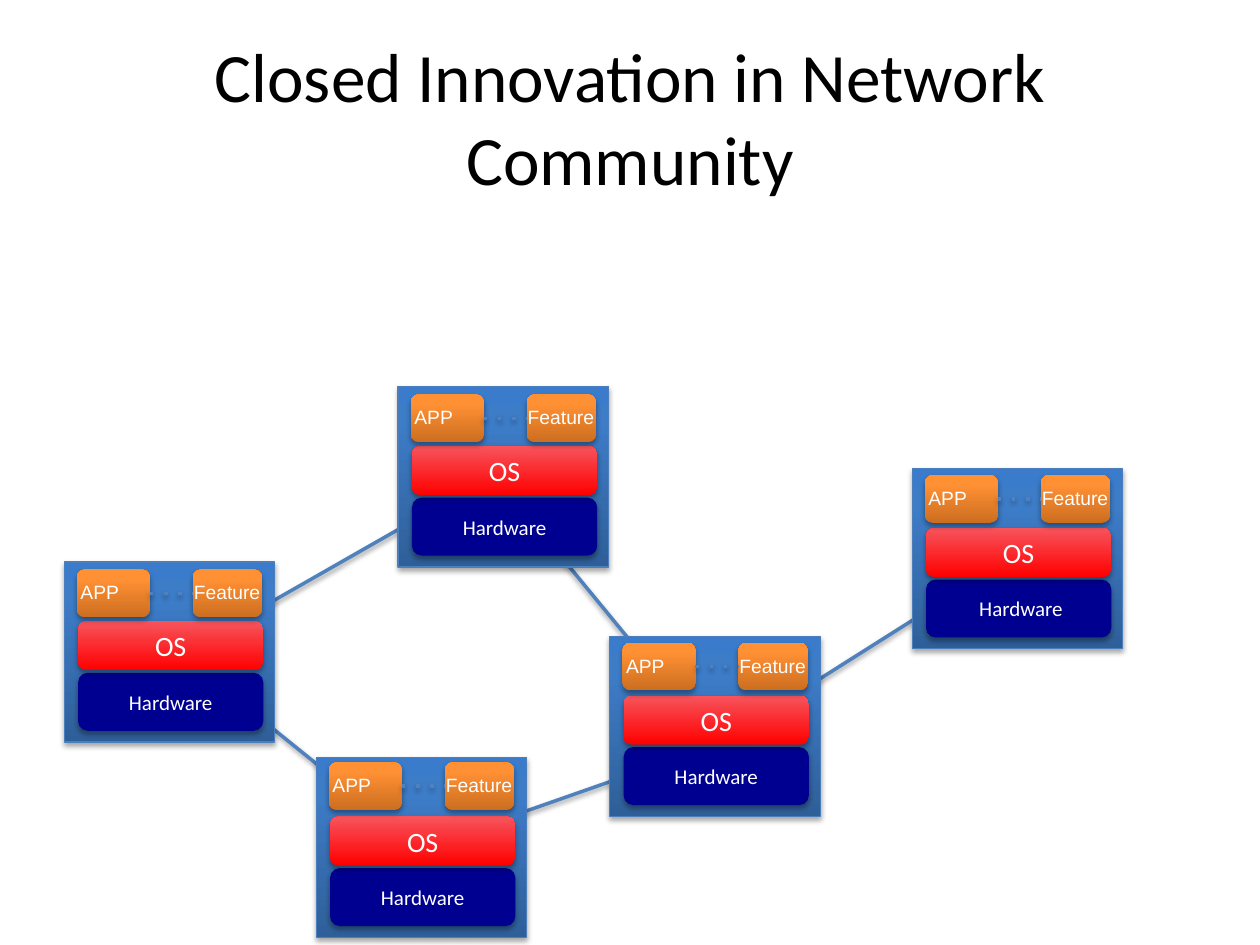
"""Build a slide of five linked network nodes, each a stack of hardware, OS and apps."""
from lxml import etree
from pptx import Presentation
from pptx import util as u
from pptx.dml.color import RGBColor
from pptx.enum import shapes, text
from pptx.oxml.ns import qn

BLACK = RGBColor(0x00, 0x00, 0x00)
WHITE = RGBColor(0xFF, 0xFF, 0xFF)
NAVY = RGBColor(0x00, 0x00, 0x90)
LINK_BLUE = RGBColor(0x4F, 0x81, 0xBD)
EDGE_BLUE = RGBColor(0x4B, 0x7E, 0xBC)
BLUES = [(0, RGBColor(0x2F, 0x5F, 0x99)), (80, RGBColor(0x3D, 0x7C, 0xC7)), (100, RGBColor(0x3A, 0x7C, 0xCB))]
REDS = [(0, RGBColor(0xFF, 0x00, 0x00)), (100, RGBColor(0xF7, 0x54, 0x5C))]
ORANGES = [(0, RGBColor(0xCC, 0x6E, 0x20)), (80, RGBColor(0xFF, 0x90, 0x34)), (100, RGBColor(0xFF, 0x91, 0x36))]

TITLE = "Closed Innovation in Network Community"
NODES = {
    "west": dict(left=0.51, top=4.46, apps=0.06, anchor=(1.43, 5.19), hardware="Hardware"),
    "north": dict(left=3.16, top=3.07, apps=0.06, anchor=(3.92, 3.77), hardware="Hardware"),
    "east": dict(left=7.24, top=3.72, apps=0.05, anchor=(8.07, 4.4), hardware=" Hardware"),
    "south": dict(left=2.51, top=6.01, apps=0.04, anchor=(3.34, 6.73), hardware="Hardware"),
    "center": dict(left=4.84, top=5.05, apps=0.05, anchor=(5.68, 5.91), hardware="Hardware"),
}
LINKS = [("west", "north"), ("north", "center"), ("south", "center"), ("west", "south"), ("center", "east")]
APPS = [("APP", 0.10, 0.58, 0.03, 0.51), ("Feature", 1.02, 0.55, 0.93, 0.73)]
APP_HEIGHT = 0.38


def add_xml(parent, tag, **attributes):
    return etree.SubElement(parent, qn(tag), {key: str(value) for key, value in attributes.items()})


def add_shadow(shape, opacity, distance):
    effects = add_xml(shape._element.spPr, "a:effectLst")
    shadow = add_xml(effects, "a:outerShdw", blurRad=u.Pt(3.1), dist=u.Pt(distance), dir=90 * 60000, rotWithShape=0)
    color = add_xml(shadow, "a:srgbClr", val=BLACK)
    add_xml(color, "a:alpha", val=opacity * 1000)


def fill_gradient(shape, stops):
    properties = shape._element.spPr
    gradient = add_xml(properties, "a:gradFill", rotWithShape=1)
    stop_list = add_xml(gradient, "a:gsLst")
    for position, color in stops:
        add_xml(add_xml(stop_list, "a:gs", pos=position * 1000), "a:srgbClr", val=color)
    add_xml(gradient, "a:lin", ang=270 * 60000, scaled=0)
    properties.find(qn("a:prstGeom")).addnext(gradient)


def add_block(parent, kind, box, fill, edge=None):
    shape = parent.add_shape(kind, *map(u.Inches, box))
    if isinstance(fill, list):
        fill_gradient(shape, fill)
    else:
        shape.fill.solid()
        shape.fill.fore_color.rgb = fill
    if edge is None:
        shape.line.fill.background()
    else:
        shape.line.color.rgb = edge
        shape.line.width = u.Pt(0.75)
    add_shadow(shape, 35, 1.8)
    return shape


def add_line(parent, start, end, dash=None):
    line = parent.add_connector(shapes.MSO_CONNECTOR.STRAIGHT, *map(u.Inches, (*start, *end)))
    line.line.color.rgb = LINK_BLUE
    line.line.width = u.Pt(2)
    if dash:
        add_xml(line._element.spPr.find(qn("a:ln")), "a:prstDash", val=dash)
    add_shadow(line, 38, 1.6)


def write(shape, words, size, font="Calibri", color=WHITE, align=text.PP_ALIGN.CENTER,
          anchor=text.MSO_ANCHOR.MIDDLE, wrap=True):
    frame = shape.text_frame
    frame.word_wrap = wrap
    frame.vertical_anchor = anchor
    paragraph = frame.paragraphs[0]
    paragraph.alignment = align
    run = paragraph.add_run()
    run.text = words
    run.font.size = u.Pt(size)
    run.font.name = font
    run.font.color.rgb = color


def add_apps(parent, left, top):
    group = parent.add_group_shape().shapes
    for _, offset, width, _, _ in APPS:
        add_block(group, shapes.MSO_SHAPE.ROUNDED_RECTANGLE, (left + offset, top, width, APP_HEIGHT), ORANGES)
    middle = top + APP_HEIGHT / 2
    add_line(group, (left + 0.68, middle), (left + 1.02, middle), "dot")
    for words, _, _, offset, width in APPS:
        label = group.add_textbox(*map(u.Inches, (left + offset, top + 0.04, width, 0.29)))
        write(label, words, 11, "Arial", align=text.PP_ALIGN.LEFT, anchor=text.MSO_ANCHOR.TOP, wrap=False)
        label.text_frame.auto_size = text.MSO_AUTO_SIZE.SHAPE_TO_FIT_TEXT


def add_node(parent, left, top, apps, anchor, hardware):
    add_block(parent, shapes.MSO_SHAPE.RECTANGLE, (left, top, 1.67, 1.43), BLUES, EDGE_BLUE)
    layers = [(hardware, 12, 0.88, 0.46, NAVY), ("OS", 16, 0.47, 0.39, REDS)]
    for words, size, offset, height, fill in layers:
        box = (left + 0.11, top + offset, 1.47, height)
        write(add_block(parent, shapes.MSO_SHAPE.ROUNDED_RECTANGLE, box, fill), words, size)
    add_apps(parent, left, top + apps)


presentation = Presentation()
presentation.slide_width, presentation.slide_height = u.Inches(10), u.Inches(7.5)
slide = presentation.slides.add_slide(presentation.slide_layouts[6])
title = slide.shapes.add_textbox(*map(u.Inches, (0.5, 0.3, 9, 1.25)))
write(title, TITLE, 39.6, color=BLACK)
for first, second in LINKS:
    add_line(slide.shapes, NODES[first]["anchor"], NODES[second]["anchor"])
for node in NODES.values():
    add_node(slide.shapes, **node)
presentation.save("out.pptx")
